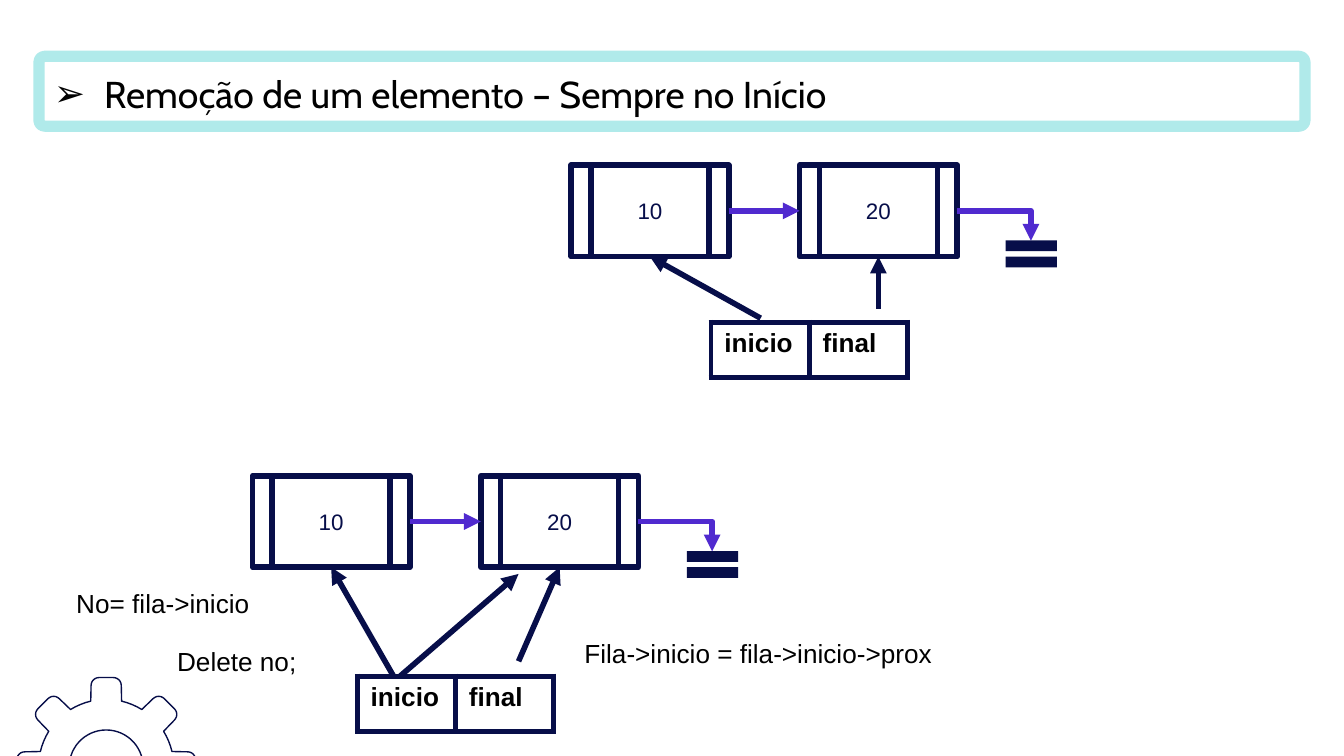
from dataclasses import dataclass
from math import cos, radians, sin

from lxml import etree
from pptx import Presentation
from pptx.dml.color import RGBColor
from pptx.enum.shapes import MSO_CONNECTOR, MSO_SHAPE
from pptx.enum.text import MSO_ANCHOR, PP_ALIGN
from pptx.oxml.ns import qn
from pptx.util import Pt

NODE = MSO_SHAPE.FLOWCHART_PREDEFINED_PROCESS
EQUAL = MSO_SHAPE.MATH_EQUAL
ROUND = MSO_SHAPE.ROUNDED_RECTANGLE
STRAIGHT = MSO_CONNECTOR.STRAIGHT
ELBOW = MSO_CONNECTOR.ELBOW
MIDDLE = MSO_ANCHOR.MIDDLE
TOP = MSO_ANCHOR.TOP
LEFT = PP_ALIGN.LEFT
CENTER = PP_ALIGN.CENTER
BOTTOM_SIDE, LEFT_SIDE, RIGHT_SIDE = 2, 1, 3


@dataclass(frozen=True)
class Theme:
    navy: RGBColor = RGBColor(0x07, 0x0E, 0x49)
    violet: RGBColor = RGBColor(0x50, 0x2A, 0xCF)
    aqua: RGBColor = RGBColor(0xB0, 0xEA, 0xEA)
    black: RGBColor = RGBColor(0, 0, 0)
    white: RGBColor = RGBColor(255, 255, 255)
    body: str = "Arial"
    head: str = "Cabin"
    title: float = 20
    note: float = 14
    value: float = 12
    stroke: float = 3
    frame: float = 6
    thin: float = 0.75


THEME = Theme()


def write(frame, text, size, color, font=THEME.body, bold=False, align=LEFT):
    frame.text = text
    para = frame.paragraphs[0]
    para.alignment = align
    face = para.runs[0].font
    face.name, face.size, face.bold = font, Pt(size), bold
    face.color.rgb = color
    return para


def style(shape, fill=None, line=None, width=THEME.stroke):
    shape.shadow.inherit = False
    if fill is None:
        shape.fill.background()
    else:
        shape.fill.solid()
        shape.fill.fore_color.rgb = fill
    if line is None:
        shape.line.fill.background()
    else:
        shape.line.color.rgb = line
        shape.line.width = Pt(width)


def arrow(slide, start, end, color, kind=STRAIGHT):
    link = slide.shapes.add_connector(kind, *map(Pt, start + end))
    link.line.color.rgb = color
    link.line.width = Pt(THEME.stroke)
    props = link._element.spPr
    etree.SubElement(props.find(qn("a:ln")), qn("a:tailEnd"), type="triangle")
    etree.SubElement(props, qn("a:effectLst"))
    if kind == ELBOW:
        props.find(qn("a:prstGeom")).set("prst", "bentConnector2")
    return link


def title(slide, left, top, width, height):
    box = slide.shapes.add_shape(ROUND, *map(Pt, (left, top, width, height)))
    box.adjustments[0] = 0.08
    style(box, line=THEME.aqua, width=THEME.frame)
    frame = box.text_frame
    frame.word_wrap = True
    frame.vertical_anchor = TOP
    frame.margin_left = frame.margin_right = Pt(7.2)
    frame.margin_top = frame.margin_bottom = Pt(7.2)
    para = write(frame, "Remoção de um elemento – Sempre no Início",
                 THEME.title, THEME.black, THEME.head)
    props = para._p.get_or_add_pPr()
    props.set("marL", str(Pt(27)))
    props.set("indent", str(-Pt(27)))
    etree.SubElement(props, qn("a:buFont"), typeface="Arial")
    etree.SubElement(props, qn("a:buChar"), char="➢")


def border(cell):
    """Outline a cell; the lines must come before its fill."""
    props = cell._tc.get_or_add_tcPr()
    for index, side in enumerate(("lnL", "lnR", "lnT", "lnB")):
        line = etree.Element(qn(f"a:{side}"), w=str(Pt(THEME.stroke)))
        fill = etree.SubElement(line, qn("a:solidFill"))
        etree.SubElement(fill, qn("a:srgbClr"), val=str(THEME.navy))
        props.insert(index, line)


def queue(slide, left, top):
    """Table holding the two pointers of the queue."""
    width, height = 105.2, 29.5
    table = slide.shapes.add_table(
        1, 2, *map(Pt, (left, top, width, height))).table
    table.first_row = table.horz_banding = False
    for cell, text in zip(table.rows[0].cells, ("inicio", "final")):
        cell.fill.background()
        border(cell)
        write(cell.text_frame, text, THEME.note, THEME.black, bold=True)


def chain(slide, left, top):
    """Two linked nodes that end in a null sign."""
    width, height, pitch = 84.4, 49, 122.4
    nodes = []
    for index, text in enumerate(("10", "20")):
        node = slide.shapes.add_shape(
            NODE, *map(Pt, (left + index * pitch, top, width, height)))
        style(node, THEME.white, THEME.navy)
        node.text_frame.vertical_anchor = MIDDLE
        write(node.text_frame, text, THEME.value, THEME.navy, align=CENTER)
        nodes.append(node)
    mid = top + height / 2
    right = left + pitch + width
    link = arrow(slide, (left + width, mid), (left + pitch, mid), THEME.violet)
    link.begin_connect(nodes[0], RIGHT_SIDE)
    link.end_connect(nodes[1], LEFT_SIDE)
    arrow(slide, (right, mid), (right + 39.5, mid + 16), THEME.violet, ELBOW)
    null = slide.shapes.add_shape(
        EQUAL, *map(Pt, (right + 21, top + 35.3, 37.4, 24.5)))
    style(null, THEME.navy)
    return nodes


def before(slide, left, top):
    first, last = chain(slide, left, top)
    for node, start in ((first, (101.5, 82)), (last, (164.6, 77))):
        start = left + start[0], top + start[1]
        arrow(slide, start, start, THEME.navy).end_connect(node, BOTTOM_SIDE)
    queue(slide, left + 74.9, top + 84.2)


def after(slide, left, top):
    first, last = chain(slide, left, top)
    for node, start in ((first, (75.6, 107.3)), (last, (142.6, 99.4))):
        start = left + start[0], top + start[1]
        arrow(slide, start, start, THEME.navy).end_connect(node, BOTTOM_SIDE)
    arrow(slide, (left + 79.2, top + 107.3), (left + 142.6, top + 52.6),
          THEME.navy)
    queue(slide, left + 56.2, top + 107.3)


def note(slide, left, top, width, text):
    box = slide.shapes.add_textbox(*map(Pt, (left, top, width, 24.5)))
    box.text_frame.word_wrap = False
    write(box.text_frame, text, THEME.note, THEME.black)


def ring(x, y, radius, begin, end, count):
    """Points on an arc; angles are in degrees, clockwise from the top."""
    turns = [radians(begin + (end - begin) * i / count)
             for i in range(count + 1)]
    return [(x + radius * sin(t), y - radius * cos(t)) for t in turns]


def gear(slide, left, top, size):
    mid = size / 2
    unit = size / 96
    tooth = (ring(0, 0, 36.2, -31.8, -13.2, 4)
             + ring(-3.8, -43.6, 4.3, -90, 0, 6)
             + ring(3.8, -43.6, 4.3, 0, 90, 6))
    rim = []
    for step in range(8):
        c, s = cos(radians(45 * step)), sin(radians(45 * step))
        rim += [(x * c - y * s, x * s + y * c) for x, y in tooth]
    hole = ring(0, 0, 19.8, 0, 360, 60)
    outer, inner = ([(Pt(left + mid + x * unit), Pt(top + mid + y * unit))
                     for x, y in loop] for loop in (rim, hole))
    pen = slide.shapes.build_freeform(*outer[0])
    pen.add_line_segments(outer[1:], close=True)
    pen.move_to(*inner[0])
    pen.add_line_segments(inner[1:], close=True)
    style(pen.convert_to_shape(), line=THEME.navy, width=THEME.thin)


def main():
    deck = Presentation()
    deck.slide_width, deck.slide_height = Pt(720), Pt(405)
    slide = deck.slides.add_slide(deck.slide_layouts[6])
    gear(slide, 8.9, 362.9, 96)
    title(slide, 20.9, 30.2, 678.2, 37.4)
    before(slide, 306, 88.5)
    after(slide, 135.2, 254.9)
    note(slide, 306, 337.7, 201.6, "Fila->inicio = fila->inicio->prox")
    note(slide, 33.8, 311, 108, "No= fila->inicio")
    note(slide, 87.8, 342, 78.5, "Delete no;")
    deck.save("out.pptx")


if __name__ == "__main__":
    main()
